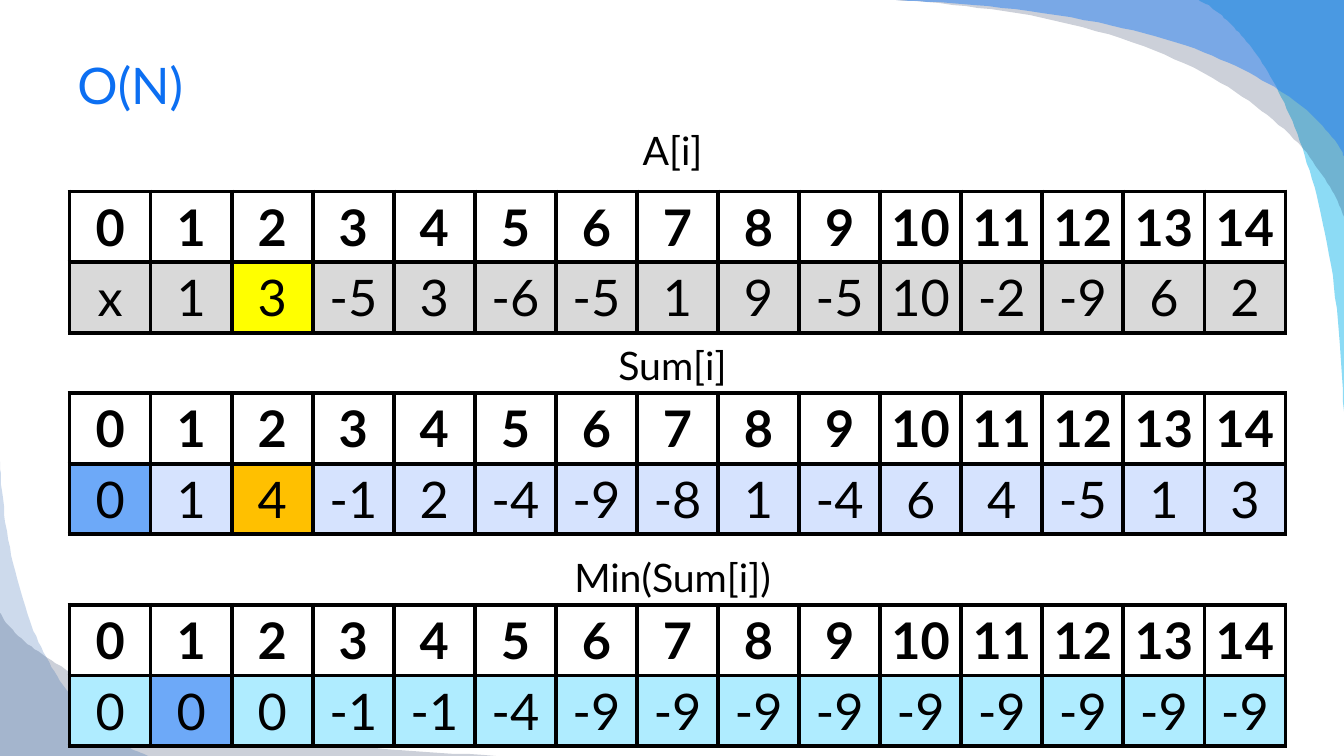
from lxml.etree import SubElement
from pptx import Presentation
from pptx.dml.color import RGBColor
from pptx.enum.text import MSO_ANCHOR, PP_ALIGN
from pptx.oxml.ns import qn
from pptx.util import Emu, Pt

PX = 9144  # 100 px to the inch
FONT = "Lato"
BLACK = RGBColor(0x00, 0x00, 0x00)
WHITE = RGBColor(0xFF, 0xFF, 0xFF)
TITLE_BLUE = RGBColor(0x0C, 0x6F, 0xF2)
CYAN = RGBColor(0x00, 0xB1, 0xE9)
NAVY = RGBColor(0x02, 0x17, 0x41)
AZURE = RGBColor(0x24, 0x7F, 0xF4)
ROYAL = RGBColor(0x08, 0x4A, 0xA1)
GRAY = RGBColor(0xD9, 0xD9, 0xD9)
YELLOW = RGBColor(0xFF, 0xFF, 0x00)
ORANGE = RGBColor(0xFF, 0xC0, 0x00)
MID_BLUE = RGBColor(0x6D, 0xA9, 0xF8)
PALE_BLUE = RGBColor(0xD6, 0xE3, 0xFE)
PALE_CYAN = RGBColor(0xAF, 0xEC, 0xFF)

# Corner points on the slide edge, curved edge, colour, opacity in percent
SWOOSHES = [
    ([(1333, 408), (1333, 0)],
     [(1189, 0), (1201, 7), (1217, 20), (1231, 35), (1247, 55), (1263, 81),
      (1279, 114), (1294, 154), (1308, 203), (1320, 262), (1328, 330), (1333, 408)],
     CYAN, 45),
    ([(889, 0), (1333, 0)],
     [(1333, 215), (1325, 196), (1311, 173), (1292, 147), (1263, 119), (1225, 91),
      (1175, 63), (1112, 38), (1035, 18), (958, 6), (889, 0)],
     NAVY, 20),
    ([(889, 0), (1333, 0)],
     [(1333, 155), (1326, 142), (1309, 122), (1288, 103), (1258, 83), (1218, 62),
      (1166, 42), (1101, 25), (1021, 11), (942, 3), (889, 0)],
     AZURE, 49),
    ([(500, 750), (0, 750)],
     [(0, 608), (8, 620), (24, 636), (46, 652), (78, 671), (122, 690),
      (178, 708), (249, 725), (336, 738), (422, 746), (500, 750)],
     NAVY, 20),
    ([(0, 458), (0, 750)],
     [(148, 750), (135, 745), (116, 734), (98, 720), (79, 701), (62, 679),
      (46, 652), (31, 620), (19, 581), (8, 535), (2, 487), (0, 458)],
     ROYAL, 20),
]

# Caption, caption top, table top, values, row fill, highlighted cells
ARRAYS = [
    ("A[i]", 120, 190, "x 1 3 -5 3 -6 -5 1 9 -5 10 -2 -9 6 2",
     GRAY, {2: YELLOW}),
    ("Sum[i]", 334, 390, "0 1 4 -1 2 -4 -9 -8 1 -4 6 4 -5 1 3",
     PALE_BLUE, {0: MID_BLUE, 2: ORANGE}),
    ("Min(Sum[i])", 544, 600, "0 0 0 -1 -1 -4 -9 -9 -9 -9 -9 -9 -9 -9 -9",
     PALE_CYAN, {1: MID_BLUE}),
]


def px(*lengths):
    return [Emu(n * PX) for n in lengths]


def smooth_curve(points, steps=6):
    """Return points along a Catmull-Rom spline through the given points."""
    ends = [points[0], *points, points[-1]]
    curve = [points[0]]
    for a, b, c, d in zip(ends, ends[1:], ends[2:], ends[3:]):
        for step in range(1, steps + 1):
            t = step / steps
            curve.append(tuple(
                (2 * q + (r - p) * t + (2 * p - 5 * q + 4 * r - s) * t ** 2
                 + (3 * q - p - 3 * r + s) * t ** 3) / 2
                for p, q, r, s in zip(a, b, c, d)))
    return curve


def add_swoosh(s, corners, edge, color, opacity):
    builder = s.shapes.build_freeform(*corners[0], scale=PX)
    builder.add_line_segments(corners[1:] + smooth_curve(edge), close=True)
    sp = builder.convert_to_shape()
    sp.shadow.inherit = False
    sp.line.fill.background()
    sp.fill.solid()
    sp.fill.fore_color.rgb = color
    srgb = sp.fill._xPr.find(qn("a:solidFill")).find(qn("a:srgbClr"))
    SubElement(srgb, qn("a:alpha"), val=str(opacity * 1000))


def add_run(p, text, size, color=BLACK, bold=False):
    r = p.add_run()
    r.text = text
    r.font.name = FONT
    r.font.size = Pt(size)
    r.font.bold = bold
    r.font.color.rgb = color


def add_text(s, text, top, height, size, color=BLACK,
             align=PP_ALIGN.CENTER, anchor=MSO_ANCHOR.TOP):
    tf = s.shapes.add_textbox(*px(67, top, 1200, height)).text_frame
    tf.word_wrap = True
    tf.vertical_anchor = anchor
    p = tf.paragraphs[0]
    p.alignment = align
    add_run(p, text, size, color)


def add_borders(cell):
    tc_pr = cell._tc.get_or_add_tcPr()
    for side in ("lnL", "lnR", "lnT", "lnB"):
        ln = SubElement(tc_pr, qn(f"a:{side}"), w=str(Pt(3)))
        fill = SubElement(ln, qn("a:solidFill"))
        SubElement(fill, qn("a:srgbClr"), val=str(BLACK))


def fill_cell(cell, text, color, bold):
    add_borders(cell)
    cell.fill.solid()
    cell.fill.fore_color.rgb = color
    cell.vertical_anchor = MSO_ANCHOR.MIDDLE
    p = cell.text_frame.paragraphs[0]
    p.alignment = PP_ALIGN.CENTER
    add_run(p, text, 36, bold=bold)


def add_array_table(s, top, values, color, highlights):
    """Add a table with the indices above the values."""
    table = s.shapes.add_table(2, len(values), *px(69, top, 1206, 140)).table
    for i, value in enumerate(values):
        fill_cell(table.cell(0, i), str(i), WHITE, True)
        fill_cell(table.cell(1, i), value, highlights.get(i, color), False)


def main():
    prs = Presentation()
    prs.slide_width, prs.slide_height = px(1333, 750)
    s = prs.slides.add_slide(prs.slide_layouts[6])
    for swoosh in SWOOSHES:
        add_swoosh(s, *swoosh)
    add_text(s, "O(N)", 33, 101, 36, TITLE_BLUE, PP_ALIGN.LEFT, MSO_ANCHOR.MIDDLE)
    for caption, caption_top, table_top, values, color, highlights in ARRAYS:
        add_text(s, caption, caption_top, 56, 28)
        add_array_table(s, table_top, values.split(), color, highlights)
    prs.save("out.pptx")


if __name__ == "__main__":
    main()
